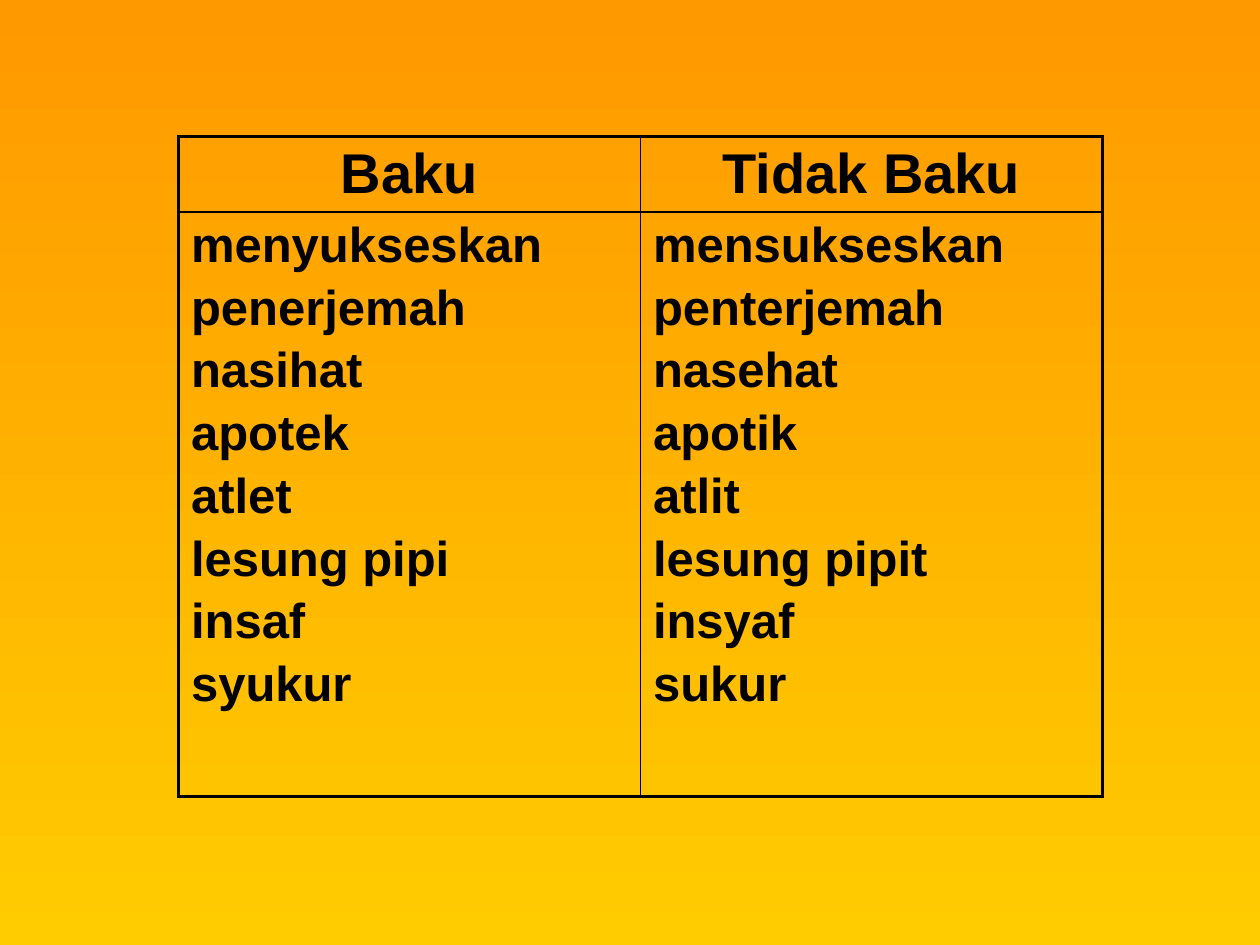
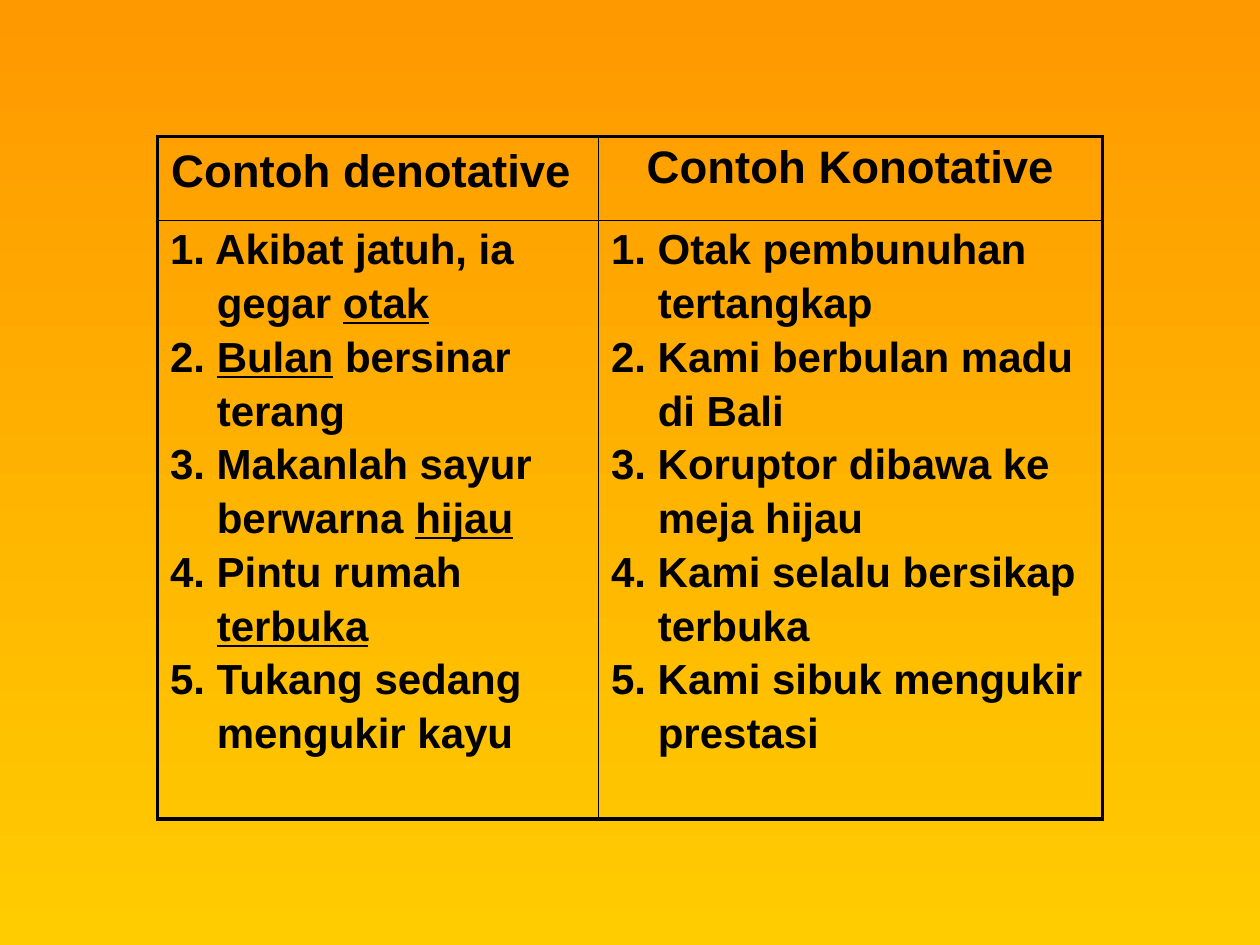
from collections import namedtuple
from dataclasses import dataclass

from lxml.etree import SubElement
from pptx import Presentation
from pptx.dml.color import RGBColor
from pptx.enum.text import PP_ALIGN
from pptx.oxml.ns import qn
from pptx.util import Pt


@dataclass(frozen=True)
class Theme:
    font: str = "Arial"
    ink: str = "000000"
    sky: str = "FF9900"
    ground: str = "FFCC00"
    outer_line: float = 2.25
    inner_line: float = 1
    heading: float = 32
    small_heading: float = 26
    words: float = 28
    sentences: float = 24
    paragraph_gap: float = 0.165
    number_indent: float = 26.7


THEME = Theme()
Box = namedtuple("Box", "left top widths heights")
Span = namedtuple("Span", "text underline size bold", defaults=(False, None, True))

WORD_BOX = Box(102, 78, (264, 264), (38, 334))
SENTENCE_BOX = Box(90, 78, (252, 288), (48, 342))

STANDARD_WORDS = ["menyukseskan", "penerjemah", "nasihat", "apotek",
                  "atlet", "lesung pipi", "insaf", "syukur"]
NONSTANDARD_WORDS = ["mensukseskan", "penterjemah", "nasehat", "apotik",
                     "atlit", "lesung pipit", "insyaf", "sukur"]

DENOTATIVE = [
    ["1. Akibat jatuh, ia"],
    ["gegar ", Span("otak", True)],
    ["2. ", Span("Bulan", True), " bersinar"],
    ["terang"],
    ["3. Makanlah sayur"],
    ["berwarna ", Span("hijau", True)],
    ["4. Pintu rumah"],
    [Span("terbuka", True)],
    ["5. Tukang sedang"],
    ["mengukir kayu"],
]
CONNOTATIVE = [
    ["1. Otak pembunuhan"], ["tertangkap"],
    ["2. Kami berbulan madu"], ["di Bali"],
    ["3. Koruptor dibawa ke"], ["meja hijau"],
    ["4. Kami selalu bersikap"], ["terbuka"],
    ["5. Kami sibuk mengukir"], ["prestasi"],
]


def paint_background(master):
    fill = master.background.fill
    fill.gradient()
    fill.gradient_angle = 270
    for stop, color, position in zip(fill.gradient_stops, (THEME.sky, THEME.ground), (0, 1)):
        stop.color.rgb = RGBColor.from_string(color)
        stop.position = position


def draw_borders(cell, row, column, last_row, last_column):
    properties = cell._tc.get_or_add_tcPr()
    edges = {"a:lnL": column == 0, "a:lnR": column == last_column,
             "a:lnT": row == 0, "a:lnB": row == last_row}
    for tag, is_outer in edges.items():
        width = THEME.outer_line if is_outer else THEME.inner_line
        line = SubElement(properties, qn(tag), w=str(Pt(width)))
        solid = SubElement(line, qn("a:solidFill"))
        SubElement(solid, qn("a:srgbClr"), val=THEME.ink)
    cell.fill.background()


def add_span(para, part, size):
    span = part if isinstance(part, Span) else Span(part)
    run = para.add_run()
    run.text = span.text
    run.font.name = THEME.font
    run.font.size = Pt(span.size or size)
    run.font.bold = span.bold
    run.font.underline = span.underline
    run.font.color.rgb = RGBColor.from_string(THEME.ink)


def write_cell(cell, lines, size, align=PP_ALIGN.LEFT, numbered=False):
    frame = cell.text_frame
    for index, parts in enumerate(lines):
        para = frame.add_paragraph() if index else frame.paragraphs[0]
        para.alignment = align
        para.space_before = Pt(round(size * THEME.paragraph_gap, 2) if index else 0)
        if numbered:
            indent = Pt(THEME.number_indent)
            starts_item = index % 2 == 0
            properties = para._p.get_or_add_pPr()
            properties.set("marL", str(indent))
            properties.set("indent", str(-indent if starts_item else 0))
        for part in parts:
            add_span(para, part, size)


def add_comparison(page, box, headings, columns, heading_size, body_size, numbered=False):
    table = page.shapes.add_table(
        len(box.heights), len(box.widths), Pt(box.left), Pt(box.top),
        Pt(sum(box.widths)), Pt(sum(box.heights))).table
    table.first_row = table.horz_banding = False
    for column, width in zip(table.columns, box.widths):
        column.width = Pt(width)
    for row, height in zip(table.rows, box.heights):
        row.height = Pt(height)
    for column, (heading, lines) in enumerate(zip(headings, columns)):
        write_cell(table.cell(0, column), [heading], heading_size, PP_ALIGN.CENTER)
        write_cell(table.cell(1, column), lines, body_size, numbered=numbered)
        for row in range(len(box.heights)):
            draw_borders(table.cell(row, column), row, column,
                         len(box.heights) - 1, len(box.widths) - 1)


def add_word_page(deck):
    page = deck.slides.add_slide(deck.slide_layouts.get_by_name("Blank"))
    columns = [[[word] for word in words] for words in (STANDARD_WORDS, NONSTANDARD_WORDS)]
    add_comparison(page, WORD_BOX, [["Baku"], ["Tidak Baku"]], columns,
                   THEME.heading, THEME.words)


def add_sentence_page(deck):
    page = deck.slides.add_slide(deck.slide_layouts.get_by_name("Blank"))
    headings = [["Contoh denotative", Span(" ", size=THEME.words, bold=False)],
                ["Contoh Konotative"]]
    add_comparison(page, SENTENCE_BOX, headings, [DENOTATIVE, CONNOTATIVE],
                   THEME.small_heading, THEME.sentences, numbered=True)


def main():
    deck = Presentation()
    deck.slide_width, deck.slide_height = Pt(720), Pt(540)
    paint_background(deck.slide_master)
    add_word_page(deck)
    add_sentence_page(deck)
    deck.save("out.pptx")


if __name__ == "__main__":
    main()
